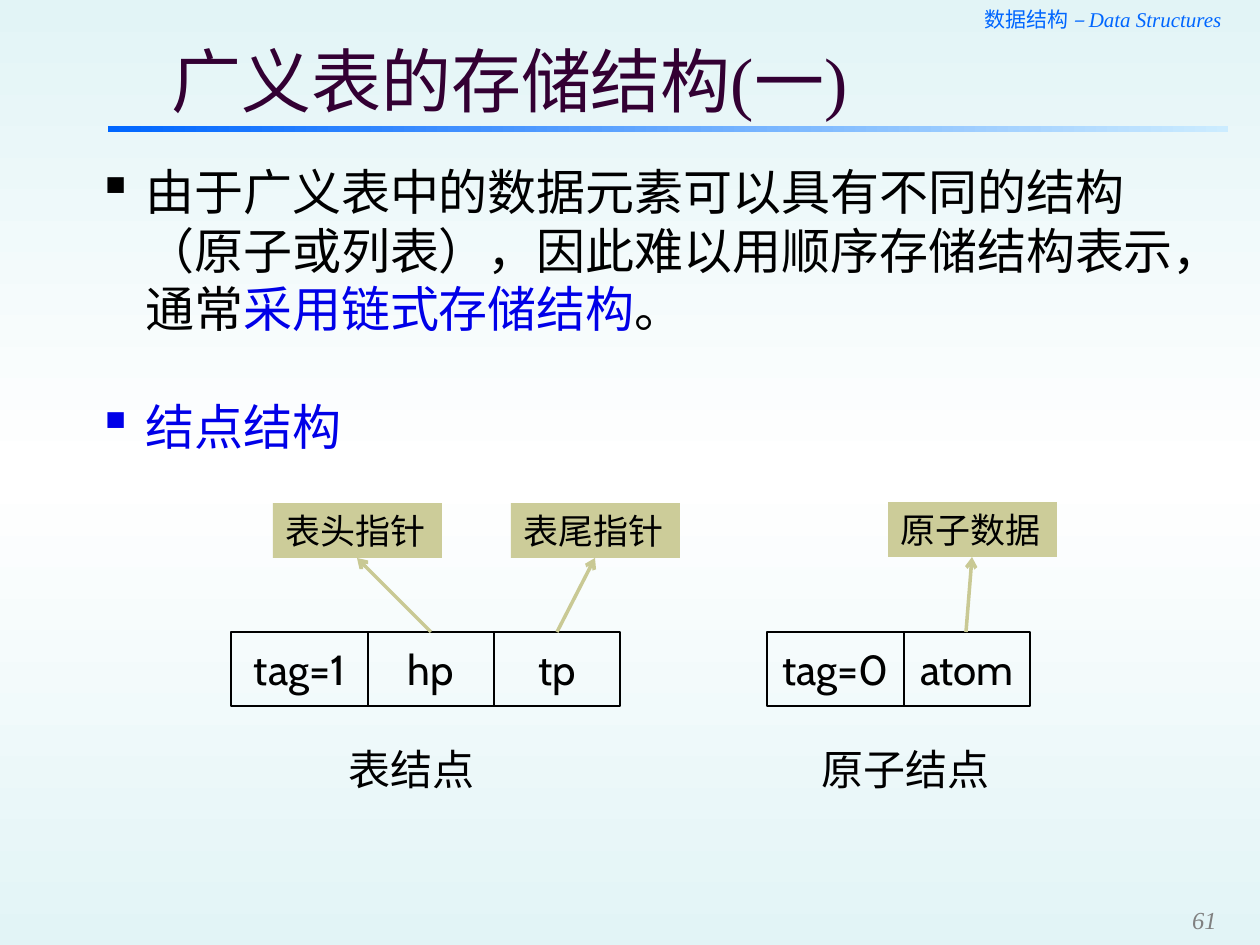
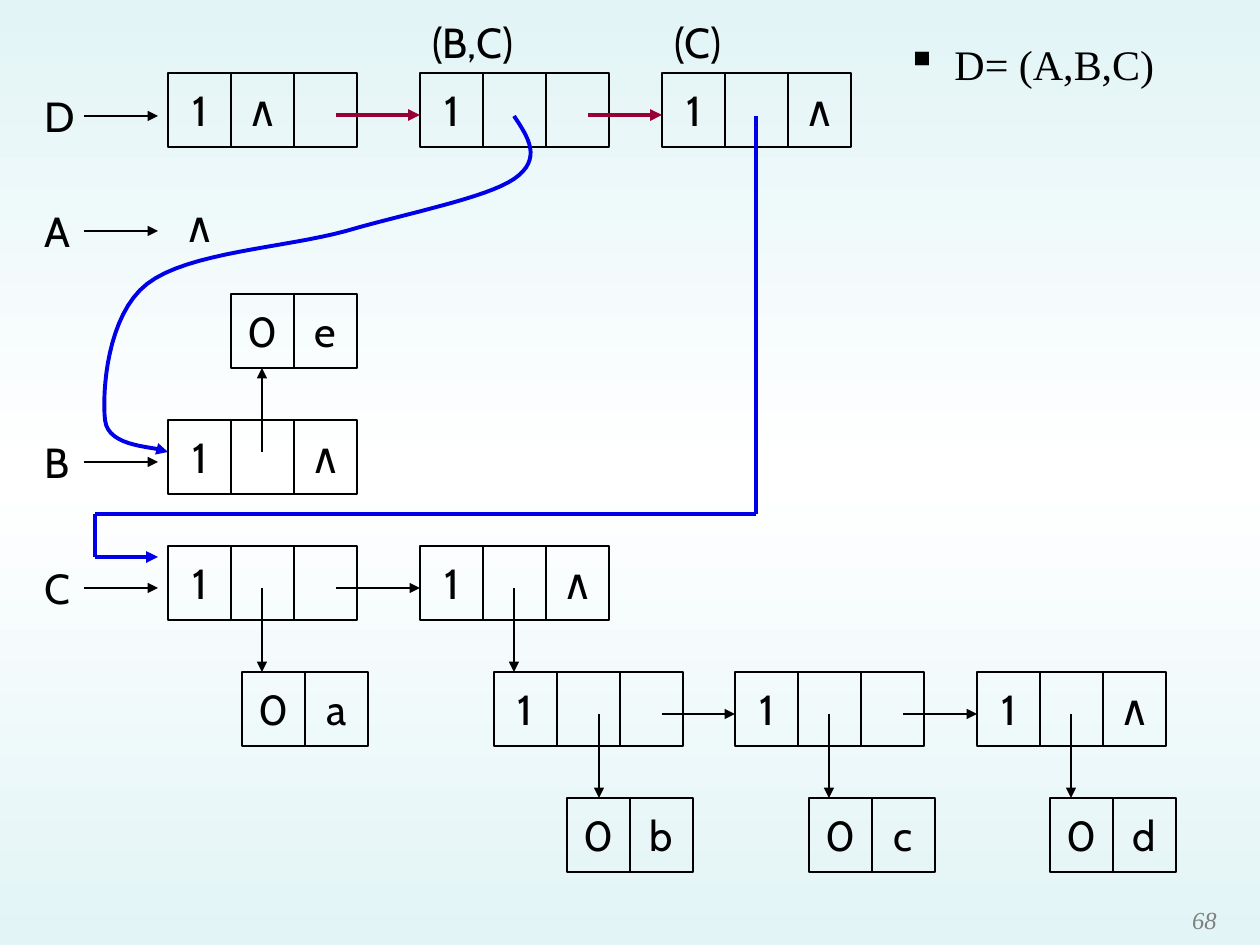
from copy import deepcopy
from itertools import pairwise

from lxml.etree import SubElement
from pptx import Presentation
from pptx.dml.color import RGBColor
from pptx.enum.shapes import MSO_CONNECTOR, MSO_SHAPE
from pptx.enum.text import MSO_ANCHOR as ANCHOR, PP_ALIGN as ALIGN
from pptx.oxml.ns import qn
from pptx.util import Emu, Pt

BLACK = RGBColor(0x00, 0x00, 0x00)
GRAY = RGBColor(0x80, 0x80, 0x80)
BLUE = RGBColor(0x00, 0x00, 0xE8)
CRIMSON = RGBColor(0x99, 0x00, 0x33)
PLUM = RGBColor(0x33, 0x00, 0x33)
BRIGHT = RGBColor(0x00, 0x66, 0xFF)
PALE = RGBColor(0xCC, 0xEC, 0xFF)
MINT = RGBColor(0xE2, 0xF4, 0xF6)
WHITE = RGBColor(0xFF, 0xFF, 0xFF)
KHAKI = RGBColor(0xCC, 0xCC, 0x99)
OLIVE = RGBColor(0xC9, 0xC9, 0x94)

SERIF, SANS = "Times New Roman", "Cabin"
NODE_FONT = dict(name=SANS, size=Pt(24))
BODY_FONT = dict(name=SERIF, size=Pt(28))
HEADER_FONT = dict(name=SERIF, size=Pt(12))
CELL, CELL_H = 63, 74

# Slide 1: storage structure
TITLE = "广义表的存储结构(一)"
HEADER = [("数据结构", {}), (" – Data Structures", dict(italic=True))]
POINTS = [
    [("由于广义表中的数据元素可以具有不同的结构（原子或列表），因此难以用顺序存储结构表示，通常", BLACK),
     ("采用链式存储结构", BLUE), ("。", BLACK)],
    [("结点结构", BLUE)],
]
# left, fields with their widths, caption, caption left and width
NODE_KINDS = [
    (231, [("tag=1", 137), ("hp", 126), ("tp", 126)], "表结点", 336, 158),
    (767, [("tag=0", 137), ("atom", 126)], "原子结点", 809, 200),
]
# label, left, top, x where its arrow starts
FIELD_LABELS = [("表头指针", 273, 503, 431), ("表尾指针", 511, 503, 557),
                ("原子数据", 888, 502, 966)]

# Slide 2: D = (A,B,C)
EXAMPLE = "D= (A,B,C)"
ROOTS = [("D", 116), ("A", 231), ("B", 462), ("C", 588)]
NODES = {
    "D1": (168, 73, ["1", "∧", ""]),
    "D2": (420, 73, ["1", "", ""]),
    "D3": (662, 73, ["1", "", "∧"]),
    "e": (231, 294, ["0", "e"]),
    "B1": (168, 420, ["1", "", "∧"]),
    "C1": (168, 546, ["1", "", ""]),
    "C2": (420, 546, ["1", "", "∧"]),
    "a": (242, 672, ["0", "a"]),
    "L1": (494, 672, ["1", "", ""]),
    "L2": (735, 672, ["1", "", ""]),
    "L3": (977, 672, ["1", "", "∧"]),
    "b": (567, 798, ["0", "b"]),
    "c": (809, 798, ["0", "c"]),
    "d": (1050, 798, ["0", "d"]),
}
CAPTIONS = [("(B,C)", "D2"), ("(C)", "D3")]
TAIL_LINKS = [("D1", "D2", CRIMSON, 2.25), ("D2", "D3", CRIMSON, 2.25),
              ("C1", "C2", BLACK, 0.75), ("L1", "L2", BLACK, 0.75),
              ("L2", "L3", BLACK, 0.75)]
# parent, child, x of the pointer inside the parent
HEAD_LINKS = [("C1", "a", 94), ("C2", "L1", 94), ("L1", "b", 105),
              ("L2", "c", 94), ("L3", "d", 94)]
LINK_TO_C = [(756, 116), (756, 514), (95, 514), (95, 557), (158, 557)]
LINK_TO_B = [(514, 116),
             (528, 137), (543, 159), (514, 179),
             (486, 198), (408, 213), (346, 231),
             (285, 248), (188, 252), (147, 284),
             (107, 315), (102, 392), (105, 420),
             (108, 449), (158, 446), (168, 452)]


def px(v):
    return Emu(round(v * 914400 / 126))


def style(obj, **values):
    for key, value in values.items():
        setattr(obj, key, value)


def add_run(p, text, color=BLACK, **font):
    r = p.add_run()
    r.text = text
    style(r.font, **font)
    r.font.color.rgb = color


def write(sp, text, color=BLACK, align=ALIGN.LEFT, anchor=ANCHOR.TOP, wrap=True,
          **font):
    style(sp.text_frame, word_wrap=wrap, vertical_anchor=anchor)
    p = sp.text_frame.paragraphs[0]
    p.alignment = align
    add_run(p, text, color, **font)


def textbox(slide, *at):
    sp = slide.shapes.add_textbox(*map(px, at))
    sp.text_frame.word_wrap = True
    return sp


def rect(slide, *at):
    sp = slide.shapes.add_shape(MSO_SHAPE.RECTANGLE, *map(px, at))
    sp.shadow.inherit = False
    sp.fill.background()
    sp.line.fill.background()
    return sp


def outline(sp, color, width, arrow=None):
    sp.line.color.rgb = color
    sp.line.width = Pt(width)
    if arrow:
        SubElement(sp.line._get_or_add_ln(), qn("a:tailEnd"), type=arrow)


def line(slide, start, end, color=BLACK, width=0.75, arrow="triangle"):
    s = slide.shapes.add_connector(MSO_CONNECTOR.STRAIGHT, *map(px, (*start, *end)))
    outline(s, color, width, arrow)
    SubElement(s._element.spPr, qn("a:effectLst"))


def gradient(fill, owner, colors, angle):
    """Fill with evenly spaced colour stops; owner is the element that holds them."""
    fill.gradient()
    fill.gradient_angle = angle
    stops = owner.find(".//" + qn("a:gsLst"))
    for _ in colors[2:]:
        stops.insert(1, deepcopy(stops[0]))
    for i, (stop, color) in enumerate(zip(fill.gradient_stops, colors)):
        stop.color.rgb = color
        stop.position = i / (len(colors) - 1)


def cell(slide, text, x, y, w=CELL):
    sp = rect(slide, x, y, w, CELL_H)
    outline(sp, BLACK, 0.75)
    if text:
        write(sp, text, align=ALIGN.CENTER, anchor=ANCHOR.MIDDLE, wrap=False, **NODE_FONT)


def bullet(p):
    pPr = p._p.get_or_add_pPr()
    pPr.set("marL", str(px(60)))
    pPr.set("indent", str(-px(48)))
    SubElement(pPr, qn("a:buChar"), char="▪")


def new_slide(prs, number):
    slide = prs.slides.add_slide(prs.slide_layouts[6])
    gradient(slide.background.fill, slide._element, [MINT, WHITE, MINT], 90)
    sp = textbox(slide, 1145, 892, 84, 42)
    style(sp.text_frame, margin_top=0, margin_bottom=0)
    write(sp, str(number), GRAY, ALIGN.RIGHT, ANCHOR.BOTTOM,
          name=SERIF, size=Pt(14), italic=True)
    return slide


def bezier(points, steps=16):
    """Points along a chain of cubic curves."""
    for i in range(0, len(points) - 1, 3):
        for k in range(1, steps + 1):
            t = k / steps
            weights = ((1 - t) ** 3, 3 * t * (1 - t) ** 2, 3 * t * t * (1 - t), t ** 3)
            yield tuple(sum(w * pt[axis] for w, pt in zip(weights, points[i:i + 4]))
                        for axis in (0, 1))


def structure_slide(prs):
    slide = new_slide(prs, 61)
    p = textbox(slide, 756, 0, 478, 38).text_frame.paragraphs[0]
    p.alignment = ALIGN.RIGHT
    for text, extra in HEADER:
        add_run(p, text, BRIGHT, **HEADER_FONT, **extra)
    band = rect(slide, 108, 126, 1120, 6)
    gradient(band.fill, band._element, [BRIGHT, PALE], 0)
    title = textbox(slide, 159, 37, 1038, 84)
    style(title.text_frame, margin_top=px(5), margin_bottom=px(5))
    write(title, TITLE, PLUM, anchor=ANCHOR.MIDDLE, name=SERIF, size=Pt(40))

    tf = textbox(slide, 73, 155, 1160, 394).text_frame
    for i, runs in enumerate(POINTS):
        p = tf.add_paragraph() if i else tf.paragraphs[0]
        bullet(p)
        if i:
            p.space_before = Pt(33.5)
        for text, color in runs:
            add_run(p, text, color, **BODY_FONT)

    for x, fields, caption, left, width in NODE_KINDS:
        for text, w in fields:
            cell(slide, text, x, 632, w)
            x += w
        write(textbox(slide, left, 737, width, 63), caption, **NODE_FONT)
    for text, x, y, start in FIELD_LABELS:
        sp = rect(slide, x, y, 169, 55)
        sp.fill.solid()
        sp.fill.fore_color.rgb = KHAKI
        write(sp, text, name=SANS, size=Pt(20))
        line(slide, (start, 632), (x + 84, y + 55), OLIVE, 2, "arrow")


def example_slide(prs):
    slide = new_slide(prs, 68)
    sp = textbox(slide, 882, 32, 357, 94)
    bullet(sp.text_frame.paragraphs[0])
    write(sp, EXAMPLE, name=SERIF, size=Pt(24))

    for x, y, texts in NODES.values():
        for i, text in enumerate(texts):
            cell(slide, text, x + i * CELL, y)
    for name, y in ROOTS:
        write(textbox(slide, 32, y - 32, 53, 63), name, **NODE_FONT)
        line(slide, (84, y), (158, y))
    write(textbox(slide, 168, 189, CELL, CELL_H), "∧", align=ALIGN.CENTER,
          anchor=ANCHOR.MIDDLE, wrap=False, **NODE_FONT)
    for text, node in CAPTIONS:
        write(textbox(slide, NODES[node][0], 10, 136, 63), text, **NODE_FONT)

    for start, end, color, width in TAIL_LINKS:
        x, y, _ = NODES[start]
        line(slide, (x + 168, y + 42), (NODES[end][0], y + 42), color, width)
    for parent, child, dx in HEAD_LINKS:
        x, y, _ = NODES[parent]
        line(slide, (x + dx, y + 42), (x + dx, NODES[child][1]))
    line(slide, (262, 452), (262, NODES["e"][1] + CELL_H))

    for start, end in pairwise(LINK_TO_C):
        line(slide, start, end, BLUE, 2.25, "triangle" if end == LINK_TO_C[-1] else None)
    builder = slide.shapes.build_freeform(*map(px, LINK_TO_B[0]))
    builder.add_line_segments([(px(x), px(y)) for x, y in bezier(LINK_TO_B)], close=False)
    curve = builder.convert_to_shape()
    curve.shadow.inherit = False
    curve.fill.background()
    outline(curve, BLUE, 2.25, "triangle")


def main():
    prs = Presentation()
    style(prs, slide_width=px(1260), slide_height=px(945))
    structure_slide(prs)
    example_slide(prs)
    prs.save("out.pptx")


if __name__ == "__main__":
    main()
